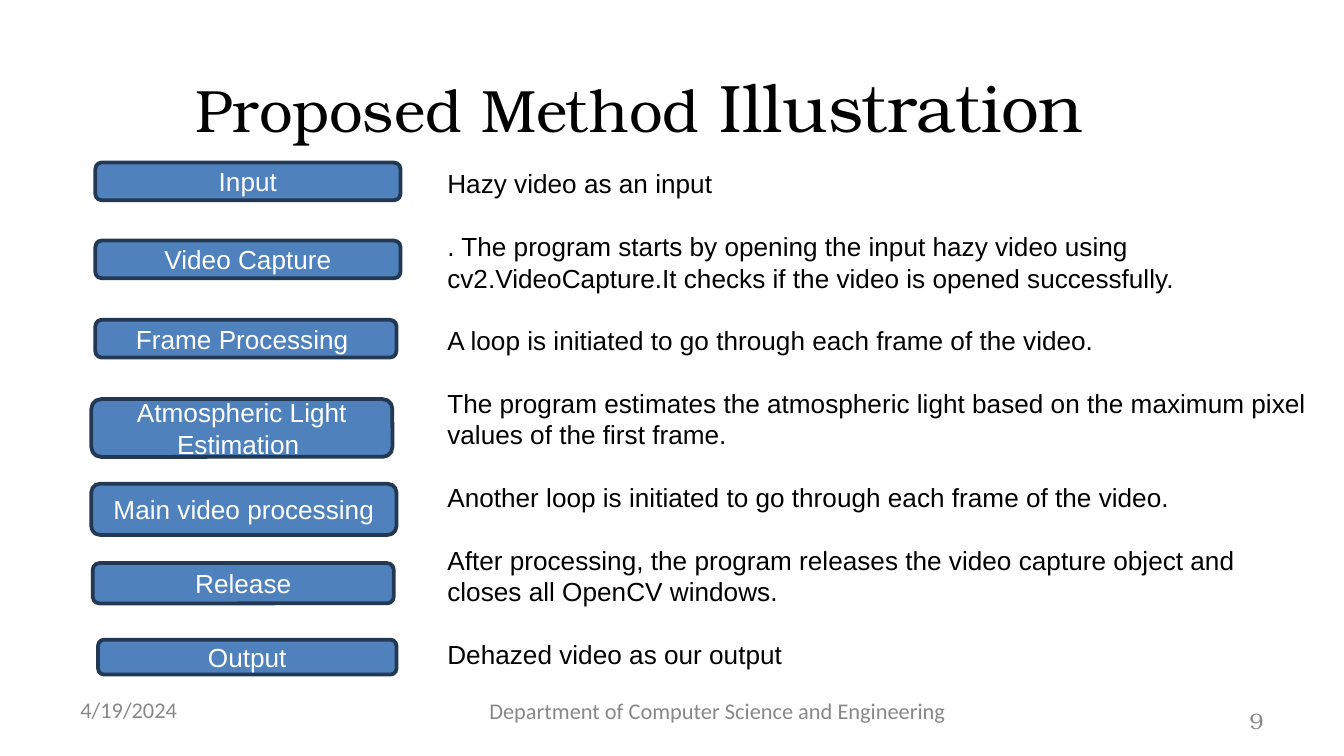
from pptx import Presentation
from pptx.dml.color import RGBColor
from pptx.enum.shapes import MSO_SHAPE
from pptx.enum.text import MSO_ANCHOR as ANCHOR, PP_ALIGN as ALIGN
from pptx.util import Inches, Pt

WIDTH = 10
HEIGHT = WIDTH * 9 / 16

COLORS = {"box": "4F81BD", "border": "233953", "label": "FFFFFF",
          "text": "000000", "footer": "888888"}
SERIF = "TeX Gyre Bonum"

TITLE = [("Proposed Method ", 32), ("Illustration", 36)]

# label, box (left, top, width, height), description
STEPS = [
    ("Input", (0.71, 1.21, 2.27, 0.28), "Hazy video as an input"),
    ("Video Capture", (0.71, 1.79, 2.27, 0.28),
     ". The program starts by opening the input hazy video using "
     "cv2.VideoCapture.It checks if the video is opened successfully."),
    ("Frame Processing ", (0.71, 2.38, 2.24, 0.28),
     "A loop is initiated to go through each frame of the video."),
    ("Atmospheric Light Estimation ", (0.68, 2.97, 2.24, 0.43),
     "The program estimates the atmospheric light based on the maximum pixel "
     "values of the first frame."),
    ("Main video processing", (0.68, 3.6, 2.27, 0.38),
     "Another loop is initiated to go through each frame of the video."),
    ("Release", (0.69, 4.19, 2.24, 0.3),
     "After processing, the program releases the video capture object and "
     "closes all OpenCV windows."),
    ("Output", (0.73, 4.76, 2.22, 0.26), "Dehazed video as our output"),
]

# text, place, alignment, font
FOOTERS = [
    ("4/19/2024", (0.5, 5.13, 2.33, 0.3), ALIGN.LEFT, "Calibri"),
    ("Department of Computer Science and Engineering",
     (3.42, 5.14, 3.84, 0.3), ALIGN.CENTER, "Calibri"),
    ("9", (7.17, 5.21, 2.33, 0.3), ALIGN.RIGHT, SERIF),
]


def rgb(name):
    return RGBColor.from_string(COLORS[name])


def write(holder, paragraphs, font="Arial", color="text", align=ALIGN.LEFT,
          anchor=ANCHOR.MIDDLE, gap=0):
    """Fill a shape with paragraphs, each a list of (text, size) runs."""
    frame = holder.text_frame
    frame.word_wrap = True
    frame.vertical_anchor = anchor
    for index, runs in enumerate(paragraphs):
        paragraph = frame.add_paragraph() if index else frame.paragraphs[0]
        paragraph.alignment = align
        if index and gap:
            paragraph.space_before = Pt(gap)
        for text, size in runs:
            run = paragraph.add_run()
            run.text = text
            run.font.name = font
            run.font.size = Pt(size)
            run.font.color.rgb = rgb(color)


def add_text(slide, place, paragraphs, **style):
    write(slide.shapes.add_textbox(*map(Inches, place)), paragraphs, **style)


def add_step(slide, label, place):
    box = slide.shapes.add_shape(MSO_SHAPE.ROUNDED_RECTANGLE,
                                 *map(Inches, place))
    box.shadow.inherit = False
    box.fill.solid()
    box.fill.fore_color.rgb = rgb("box")
    box.line.color.rgb = rgb("border")
    box.line.width = Pt(2)
    write(box, [[(label, 14)]], color="label", align=ALIGN.CENTER)


def main():
    deck = Presentation()
    deck.slide_width, deck.slide_height = Inches(WIDTH), Inches(HEIGHT)
    slide = deck.slides.add_slide(deck.slide_layouts[6])

    add_text(slide, (-0.24, 0.44, 10, 0.69), [TITLE], font=SERIF,
             align=ALIGN.CENTER)
    for text, place, align, font in FOOTERS:
        add_text(slide, place, [[(text, 12)]], font=font, color="footer",
                 align=align)
    for label, place, _ in STEPS:
        add_step(slide, label, place)
    add_text(slide, (3.23, 1.2, 6.62, 3.87),
             [[(description, 14)] for _, _, description in STEPS],
             anchor=ANCHOR.TOP, gap=16.8)

    deck.save("out.pptx")


if __name__ == "__main__":
    main()
